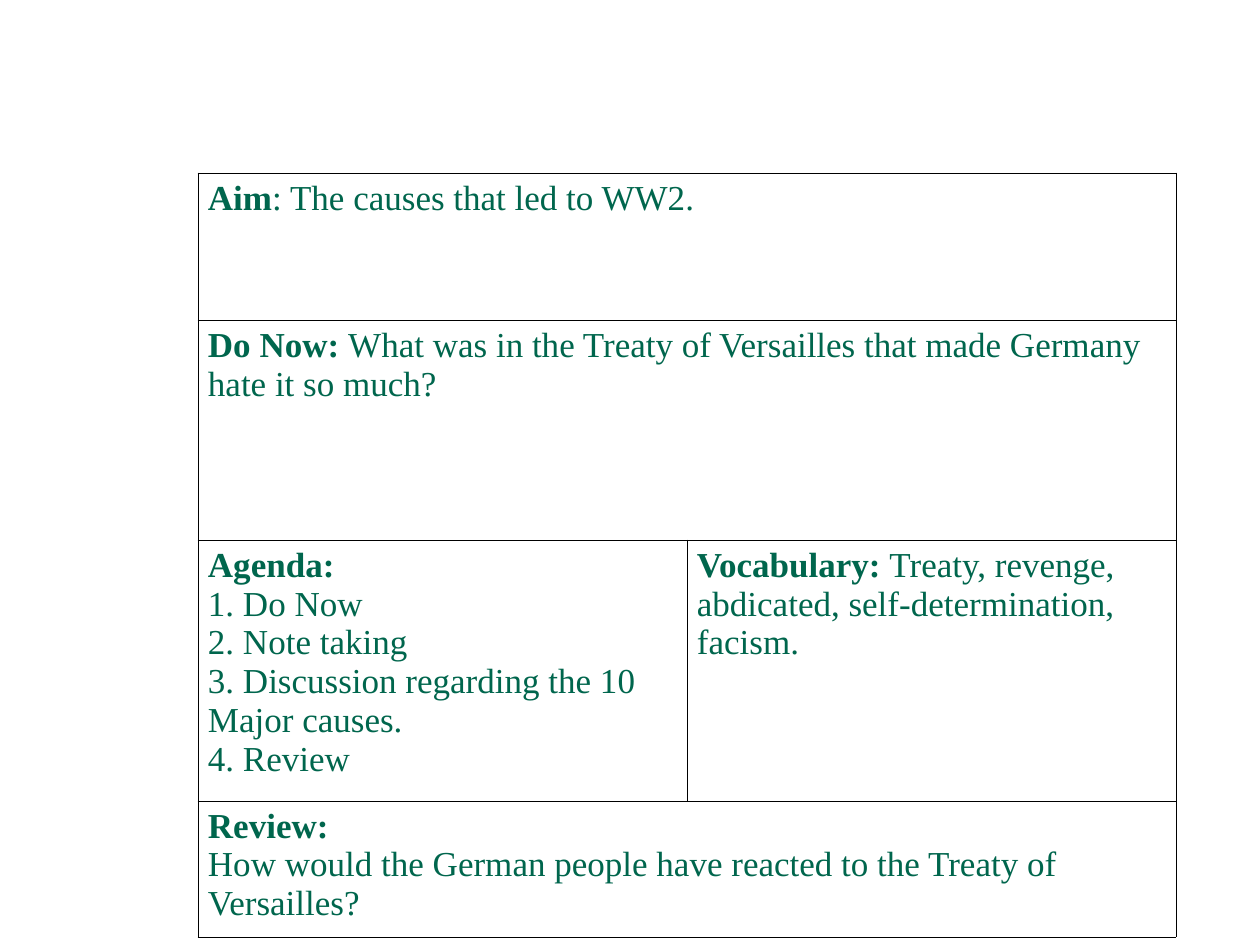
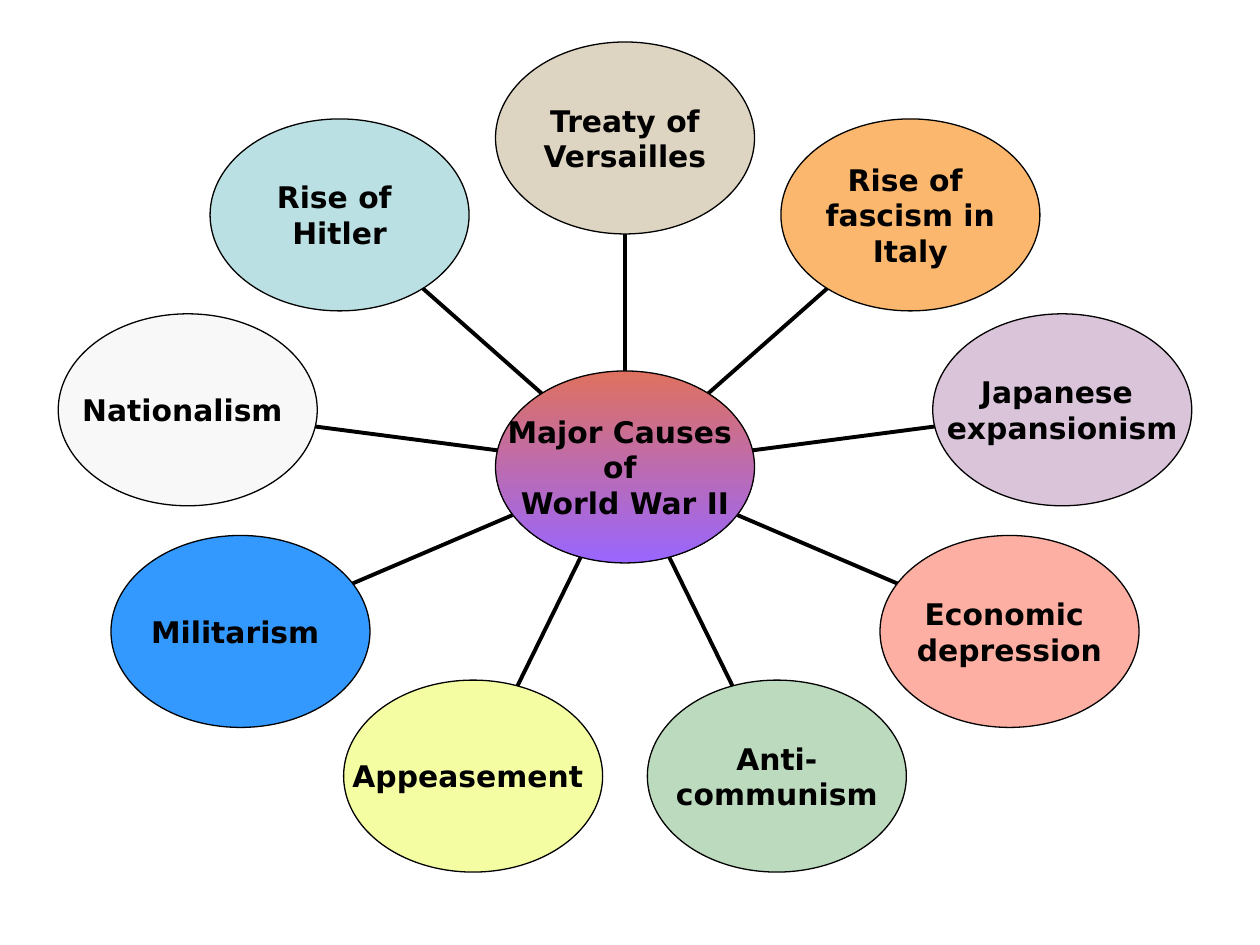
"""Build a lesson plan table and a radial map of the causes of World War II."""
from math import cos, radians, sin

from lxml import etree
from pptx import Presentation
from pptx.dml.color import RGBColor
from pptx.enum.shapes import MSO_CONNECTOR, MSO_SHAPE
from pptx.enum.text import MSO_ANCHOR, PP_ALIGN
from pptx.oxml.ns import qn
from pptx.util import Pt

STRAIGHT = MSO_CONNECTOR.STRAIGHT
OVAL = MSO_SHAPE.OVAL
MIDDLE = MSO_ANCHOR.MIDDLE
CENTER = PP_ALIGN.CENTER

PX = 914400 / 126
INK = "000000"
PLAN_GREEN = "00664D"


def px(length):
    return round(length * PX)


def rgb(value):
    return RGBColor.from_string(value)


prs = Presentation()
prs.slide_width, prs.slide_height = px(1260), px(945)
blank = prs.slide_layouts[6]

plan_slide = prs.slides.add_slide(blank)
row_heights = [147, 220, 261, 136]
plan = plan_slide.shapes.add_table(4, 2, px(198), px(173), px(978), px(sum(row_heights))).table
plan.first_row = plan.horz_banding = False
for column in plan.columns:
    column.width = px(489)
for row, height in zip(plan.rows, row_heights):
    row.height = px(height)
for full_width in (0, 1, 3):
    plan.cell(full_width, 0).merge(plan.cell(full_width, 1))

for cell in (cell for row in plan.rows for cell in row.cells):
    cell.margin_left = cell.margin_right = px(10)
    cell.margin_top = cell.margin_bottom = px(6)
    properties = cell._tc.get_or_add_tcPr()
    for side in ("a:lnL", "a:lnR", "a:lnT", "a:lnB"):
        border = etree.SubElement(properties, qn(side), w=str(Pt(0.45)))
        border_fill = etree.SubElement(border, qn("a:solidFill"))
        etree.SubElement(border_fill, qn("a:srgbClr"), val=INK)
    cell.fill.background()

sections = [
    (0, 0, "Aim", ": The causes that led to WW2.", []),
    (1, 0, "Do Now: ", "What was in the Treaty of Versailles that made Germany hate it so much?", []),
    (2, 0, "Agenda:", "", ["1. Do Now", "2. Note taking",
                           "3. Discussion regarding the 10 Major causes.", "4. Review"]),
    (2, 1, "Vocabulary: ", "Treaty, revenge, abdicated, self-determination, facism.", []),
    (3, 0, "Review:", "", ["How would the German people have reacted to the Treaty of Versailles?"]),
]
for row_index, column_index, label, body, items in sections:
    frame = plan.cell(row_index, column_index).text_frame
    frame.text = "\n".join([label, *items])
    if body:
        frame.paragraphs[0].add_run().text = body
    for paragraph in frame.paragraphs:
        for run in paragraph.runs:
            run.font.name = "Times New Roman"
            run.font.size = Pt(20)
            run.font.bold = run.text == label
            run.font.color.rgb = rgb(PLAN_GREEN)

map_slide = prs.slides.add_slide(blank)
HUB_X, HUB_Y = 625, 467
RING_X, RING_Y = 444, 329
OVAL_W, OVAL_H = 259, 192
SPOKE_START, SPOKE_END = 0.29, 0.71

causes = [
    ("Treaty of\nVersailles", "DDD4C1"),
    ("Rise of \nfascism in\nItaly", "FBB76D"),
    ("Japanese \nexpansionism", "DAC4D9"),
    ("Economic \ndepression", "FCAFA2"),
    ("Anti-\ncommunism", "BCDABD"),
    ("Appeasement ", "F4FDA1"),
    ("Militarism ", "3399FF"),
    ("Nationalism ", "F8F8F8"),
    ("Rise of \nHitler", "BBE0E3"),
]
bubbles = []
for index, (cause, color) in enumerate(causes):
    angle = radians(index * 360 / len(causes))
    reach_x, reach_y = RING_X * sin(angle), -RING_Y * cos(angle)
    spoke = map_slide.shapes.add_connector(
        STRAIGHT,
        px(HUB_X + SPOKE_START * reach_x), px(HUB_Y + SPOKE_START * reach_y),
        px(HUB_X + SPOKE_END * reach_x), px(HUB_Y + SPOKE_END * reach_y))
    spoke.line.color.rgb = rgb(INK)
    spoke.line.width = Pt(2.25)
    etree.SubElement(spoke._element.spPr, qn("a:effectLst"))
    bubbles.append((cause, [color], HUB_X + reach_x, HUB_Y + reach_y))
bubbles.append(("Major Causes \nof \nWorld War II", ["DF715F", "9966FF"], HUB_X, HUB_Y))

for wording, colors, center_x, center_y in bubbles:
    bubble = map_slide.shapes.add_shape(
        OVAL, px(center_x - OVAL_W / 2), px(center_y - OVAL_H / 2), px(OVAL_W), px(OVAL_H))
    bubble.shadow.inherit = False
    bubble.line.color.rgb = rgb(INK)
    bubble.line.width = Pt(0.75)
    if len(colors) == 1:
        bubble.fill.solid()
        bubble.fill.fore_color.rgb = rgb(colors[0])
    else:
        bubble.fill.gradient()
        bubble.fill.gradient_angle = 270
        for stop, color in zip(bubble.fill.gradient_stops, colors):
            stop.color.rgb = rgb(color)
    frame = bubble.text_frame
    frame.text = wording
    frame.word_wrap = False
    frame.vertical_anchor = MIDDLE
    frame.margin_left = frame.margin_right = frame.margin_top = frame.margin_bottom = 0
    for paragraph in frame.paragraphs:
        paragraph.alignment = CENTER
        for run in paragraph.runs:
            run.font.name = "DejaVu Sans"
            run.font.size = Pt(17)
            run.font.bold = True
            run.font.color.rgb = rgb(INK)

prs.save("out.pptx")
